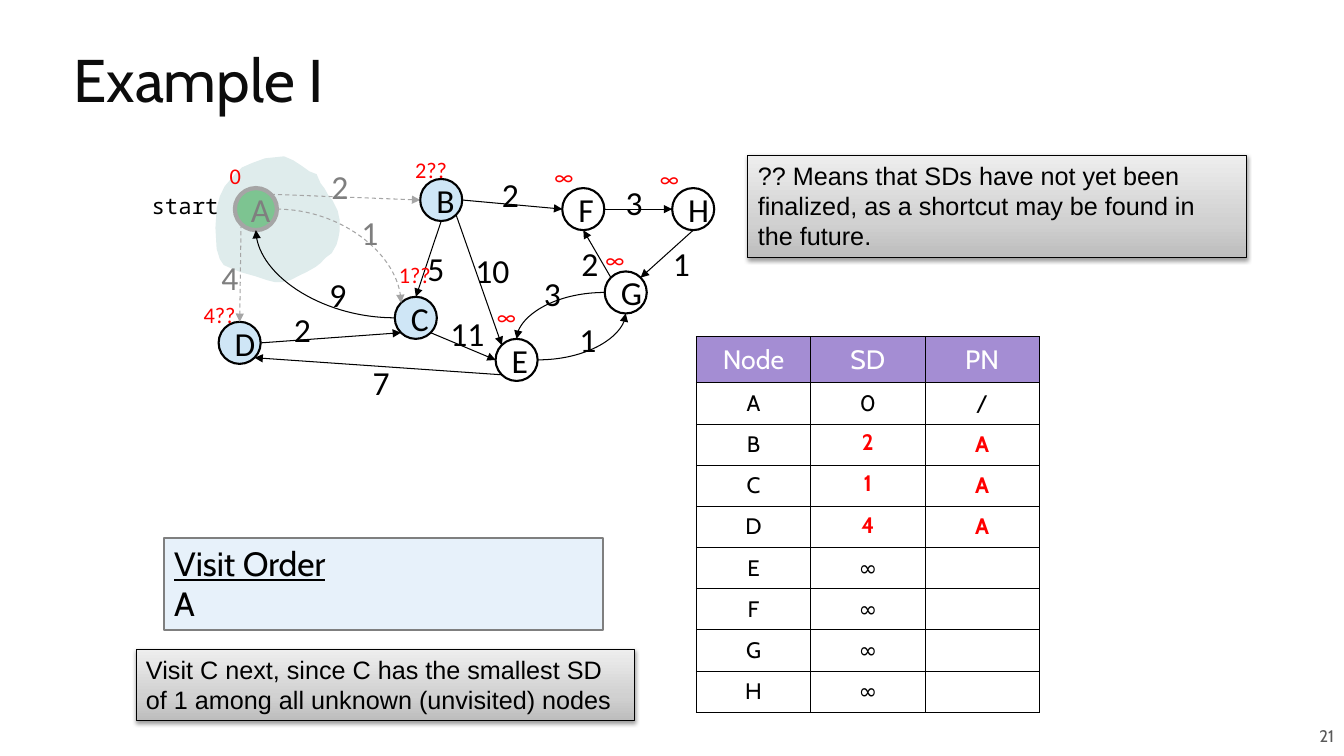
import copy
from dataclasses import dataclass
from math import sqrt

from lxml import etree
from pptx import Presentation
from pptx import util as u
from pptx.dml.color import RGBColor
from pptx.enum import dml, shapes, text
from pptx.oxml.ns import qn

COLORS = {
    "black": "000000", "title": "0C0C0C", "white": "FFFFFF", "red": "FF0000",
    "gray": "7F7F7F", "muted": "A5A5A5", "page": "595959", "blob": "DFECEC",
    "current": "7DC491", "frontier": "CFE6F6", "header": "A48DD3", "order": "E7F1FA",
}
NOTE_STOPS = ((0, "BDBDBD"), (0.35, "D1D1D1"), (1, "EEEEEE"))
RADIUS = 0.53
DIAGONAL = RADIUS / sqrt(2)
SIDES = {
    "N": (0, -RADIUS), "S": (0, RADIUS), "E": (RADIUS, 0), "W": (-RADIUS, 0),
    "NE": (DIAGONAL, -DIAGONAL), "NW": (-DIAGONAL, -DIAGONAL),
    "SE": (DIAGONAL, DIAGONAL), "SW": (-DIAGONAL, DIAGONAL),
}


@dataclass
class Node:
    name: str
    x: float
    y: float
    distance: str
    label_left: float
    label_top: float
    fill: str = ""


@dataclass
class Edge:
    start: str
    start_side: str
    end: str
    end_side: str
    weight: str
    label_left: float
    label_top: float
    curved: bool = False


@dataclass
class Note:
    text: str
    left: float
    top: float
    height: float


NODES = [
    Node("A", 6.45, 5.27, "0", 5.54, 3.96, "current"),
    Node("B", 11.12, 5.04, "2??", 10.21, 3.81, "frontier"),
    Node("D", 6.04, 8.64, "4??", 4.88, 7.47, "frontier"),
    Node("C", 10.48, 8.01, "1??", 9.8, 6.45, "frontier"),
    Node("F", 14.7, 5.27, "∞", 13.72, 3.99),
    Node("H", 17.47, 5.27, "∞", 16.38, 4.04),
    Node("E", 13.02, 9.07, "∞", 12.27, 7.52),
    Node("G", 15.77, 7.37, "∞", 15.01, 6.07),
]
EDGES = [
    Edge("A", "E", "C", "NW", "1", 8.86, 5.21, True),
    Edge("C", "W", "A", "S", "9", 8.05, 6.78, True),
    Edge("G", "W", "E", "N", "3", 13.46, 6.76, True),
    Edge("E", "E", "G", "S", "1", 14.35, 7.9, True),
    Edge("A", "SW", "D", "N", "4", 5.33, 6.35),
    Edge("D", "E", "C", "SW", "2", 7.16, 7.67),
    Edge("A", "NE", "B", "W", "2", 8.1, 4.06),
    Edge("B", "E", "F", "W", "2", 12.4, 4.27),
    Edge("F", "E", "H", "W", "3", 15.52, 4.45),
    Edge("G", "NW", "F", "S", "2", 14.4, 5.99),
    Edge("H", "S", "G", "NE", "1", 16.71, 5.99),
    Edge("B", "SE", "E", "NW", "10", 11.73, 6.17),
    Edge("B", "S", "C", "N", "5", 10.52, 6.12),
    Edge("C", "SE", "E", "W", "11", 11.1, 7.77),
    Edge("E", "SW", "D", "SE", "7", 9.14, 8.99),
]
NOTES = [
    Note("?? Means that SDs have not yet been finalized, as a shortcut may be found "
         "in the future.", 18.85, 3.91, 2.57),
    Note("Visit C next, since C has the smallest SD of 1 among all unknown "
         "(unvisited) nodes", 3.43, 16.36, 1.8),
]
TABLE_ROWS = [
    ("Node", "SD", "PN"), ("A", "0", "/"), ("B", "2", "A"), ("C", "1", "A"),
    ("D", "4", "A"), ("E", "∞", ""), ("F", "∞", ""), ("G", "∞", ""), ("H", "∞", ""),
]
# Outline of the visited region, in hundredths of a centimetre
REGION = [
    (716, 394), (668, 399), (635, 411), (610, 422), (594, 437), (577, 457), (566, 470),
    (554, 495), (546, 526), (543, 574), (546, 627), (554, 653), (564, 668), (582, 676),
    (607, 686), (643, 696), (673, 706), (693, 711), (711, 711), (732, 706), (757, 693),
    (772, 686), (795, 673), (808, 663), (820, 650), (836, 638), (848, 617), (853, 599),
    (856, 582), (856, 554), (851, 531), (838, 505), (828, 493), (818, 475), (808, 462),
    (798, 439), (780, 432), (759, 417), (739, 404),
]


def rgb(name: str) -> RGBColor:
    return RGBColor.from_string(COLORS[name])


def box(left: float, top: float, width: float, height: float) -> tuple:
    return u.Cm(left), u.Cm(top), u.Cm(width), u.Cm(height)


def write(frame, content: str, size: float, font: str, color: str = "black",
          align=text.PP_ALIGN.LEFT) -> None:
    frame.text = content
    for paragraph in frame.paragraphs:
        paragraph.alignment = align
        paragraph.font.size = u.Pt(size)
        paragraph.font.name = font
        paragraph.font.color.rgb = rgb(color)


def paint(shape, fill: str, line: str = "", width: float = 1.5) -> None:
    shape.shadow.inherit = False
    if fill:
        shape.fill.solid()
        shape.fill.fore_color.rgb = rgb(fill)
    else:
        shape.fill.background()
    if line:
        shape.line.color.rgb = rgb(line)
        shape.line.width = u.Pt(width)
    else:
        shape.line.fill.background()


def add_label(slide, content: str, left: float, top: float, size: int, color: str) -> None:
    width = 0.51 + 0.018 * size * len(content)
    label = slide.shapes.add_textbox(*box(left, top, width, 0.25 + 0.043 * size))
    label.text_frame.word_wrap = False
    write(label.text_frame, content, size, "Calibri", color)


def add_node(slide, node: Node) -> None:
    circle = slide.shapes.add_shape(
        shapes.MSO_SHAPE.OVAL,
        *box(node.x - RADIUS, node.y - RADIUS, 2 * RADIUS, 2 * RADIUS))
    visited = node.name == "A"
    paint(circle, node.fill, "muted" if visited else "black", 3 if visited else 1.5)
    write(circle.text_frame, node.name, 24, "Calibri", "gray" if visited else "black",
          text.PP_ALIGN.CENTER)


def add_edge(slide, edge: Edge, nodes: dict) -> None:
    ends = []
    for name, side in ((edge.start, edge.start_side), (edge.end, edge.end_side)):
        dx, dy = SIDES[side]
        ends += [u.Cm(nodes[name].x + dx), u.Cm(nodes[name].y + dy)]
    kind = shapes.MSO_CONNECTOR.CURVE if edge.curved else shapes.MSO_CONNECTOR.STRAIGHT
    connector = slide.shapes.add_connector(kind, *ends)
    properties = connector._element.spPr
    if edge.curved:
        properties.find(qn("a:prstGeom")).set("prst", "curvedConnector2")
    visited = edge.start == "A"
    connector.line.color.rgb = rgb("muted" if visited else "black")
    connector.line.width = u.Pt(0.75)
    if visited:
        connector.line.dash_style = dml.MSO_LINE.DASH
    etree.SubElement(properties.find(qn("a:ln")), qn("a:tailEnd"), type="triangle")
    etree.SubElement(properties, qn("a:effectLst"))


def add_note(slide, note: Note) -> None:
    shape = slide.shapes.add_shape(shapes.MSO_SHAPE.RECTANGLE,
                                   *box(note.left, note.top, 12.57, note.height))
    paint(shape, "", "black", 0.75)
    shape.fill.gradient()
    shape.fill.gradient_angle = 90
    first = shape._element.spPr.find(".//" + qn("a:gs"))
    first.addnext(copy.deepcopy(first))
    for stop, (position, color) in zip(shape.fill.gradient_stops, NOTE_STOPS):
        stop.position = position
        stop.color.rgb = RGBColor.from_string(color)
    shadow = etree.SubElement(shape._element.spPr.find(qn("a:effectLst")), qn("a:outerShdw"),
                              blurRad="40000", dist="20000", dir="5400000", rotWithShape="0")
    shade = etree.SubElement(shadow, qn("a:srgbClr"), val=COLORS["black"])
    etree.SubElement(shade, qn("a:alpha"), val="38000")
    shape.text_frame.word_wrap = True
    shape.text_frame.vertical_anchor = text.MSO_ANCHOR.TOP
    write(shape.text_frame, note.text, 18, "Arial")


def fill_cell(cell, content: str, header: bool, found: bool, top: bool) -> None:
    cell.margin_left = cell.margin_right = u.Cm(0.25 if top else 0.18)
    cell.margin_top = cell.margin_bottom = u.Cm(0.13 if top else 0.18)
    cell.vertical_anchor = text.MSO_ANCHOR.TOP if top else text.MSO_ANCHOR.MIDDLE
    color = "white" if header else "red" if found else "black"
    write(cell.text_frame, content, 19 if header else 16, "Cabin", color,
          text.PP_ALIGN.CENTER)
    cell.text_frame.paragraphs[0].font.bold = found
    properties = cell._tc.get_or_add_tcPr()
    for edge in ("a:lnL", "a:lnR", "a:lnT", "a:lnB"):
        line = etree.SubElement(properties, qn(edge), w=str(u.Pt(0.75)))
        solid = etree.SubElement(line, qn("a:solidFill"))
        etree.SubElement(solid, qn("a:srgbClr"), val=COLORS["black"])
    if header:
        cell.fill.solid()
        cell.fill.fore_color.rgb = rgb("header")
    else:
        cell.fill.background()


def add_distance_table(slide) -> None:
    table = slide.shapes.add_table(len(TABLE_ROWS), 3, *box(17.55, 8.48, 8.64, 9.28)).table
    for column in table.columns:
        column.width = u.Cm(2.88)
    for r, values in enumerate(TABLE_ROWS):
        table.rows[r].height = u.Cm(1.02 if r else 1.16)
        for c, value in enumerate(values):
            found = values[2] == "A" and c > 0
            fill_cell(table.cell(r, c), value, r == 0, found, found and c == 1)


def main() -> None:
    presentation = Presentation()
    presentation.slide_width, presentation.slide_height = u.Cm(33.87), u.Cm(19.05)
    slide = presentation.slides.add_slide(presentation.slide_layouts[5])

    # Title and page number
    title = slide.shapes.title
    title.left, title.top, title.width, title.height = box(1.6, 0.74, 31.06, 2.82)
    title.text_frame.vertical_anchor = text.MSO_ANCHOR.MIDDLE
    write(title.text_frame, "Example I", 43, "Cabin", "title")
    title.text_frame.paragraphs[0].line_spacing = 0.8
    page = slide.shapes.add_textbox(*box(21.97, 18.03, 11.9, 1.02))
    page.text_frame.vertical_anchor = text.MSO_ANCHOR.MIDDLE
    write(page.text_frame, "21", 12, "Cabin", "page", text.PP_ALIGN.RIGHT)
    page.text_frame.word_wrap = True

    # Graph
    builder = slide.shapes.build_freeform(*REGION[0], scale=u.Cm(0.01))
    builder.add_line_segments(REGION[1:], close=True)
    paint(builder.convert_to_shape(), "blob")
    nodes = {node.name: node for node in NODES}
    for node in NODES:
        add_node(slide, node)
    for edge in EDGES:
        add_edge(slide, edge, nodes)
    for edge in EDGES:
        add_label(slide, edge.weight, edge.label_left, edge.label_top, 24,
                  "gray" if edge.start == "A" else "black")
    for node in NODES:
        add_label(slide, node.distance, node.label_left, node.label_top, 16, "red")
    start = slide.shapes.add_textbox(*box(3.15, 4.52, 2.69, 1.32))
    frame = start.text_frame
    frame.margin_left = frame.margin_right = frame.margin_top = u.Cm(0.33)
    frame.word_wrap = False
    write(frame, "start", 16, "Noto Sans Mono", align=text.PP_ALIGN.RIGHT)

    # Distances, visit order and notes
    add_distance_table(slide)
    order = slide.shapes.add_shape(shapes.MSO_SHAPE.RECTANGLE, *box(4.14, 13.56, 11.05, 2.31))
    paint(order, "order", "gray")
    order.text_frame.vertical_anchor = text.MSO_ANCHOR.TOP
    write(order.text_frame, "Visit Order\nA", 24, "Cabin")
    order.text_frame.paragraphs[0].font.underline = True
    for note in NOTES:
        add_note(slide, note)

    presentation.save("out.pptx")


if __name__ == "__main__":
    main()
